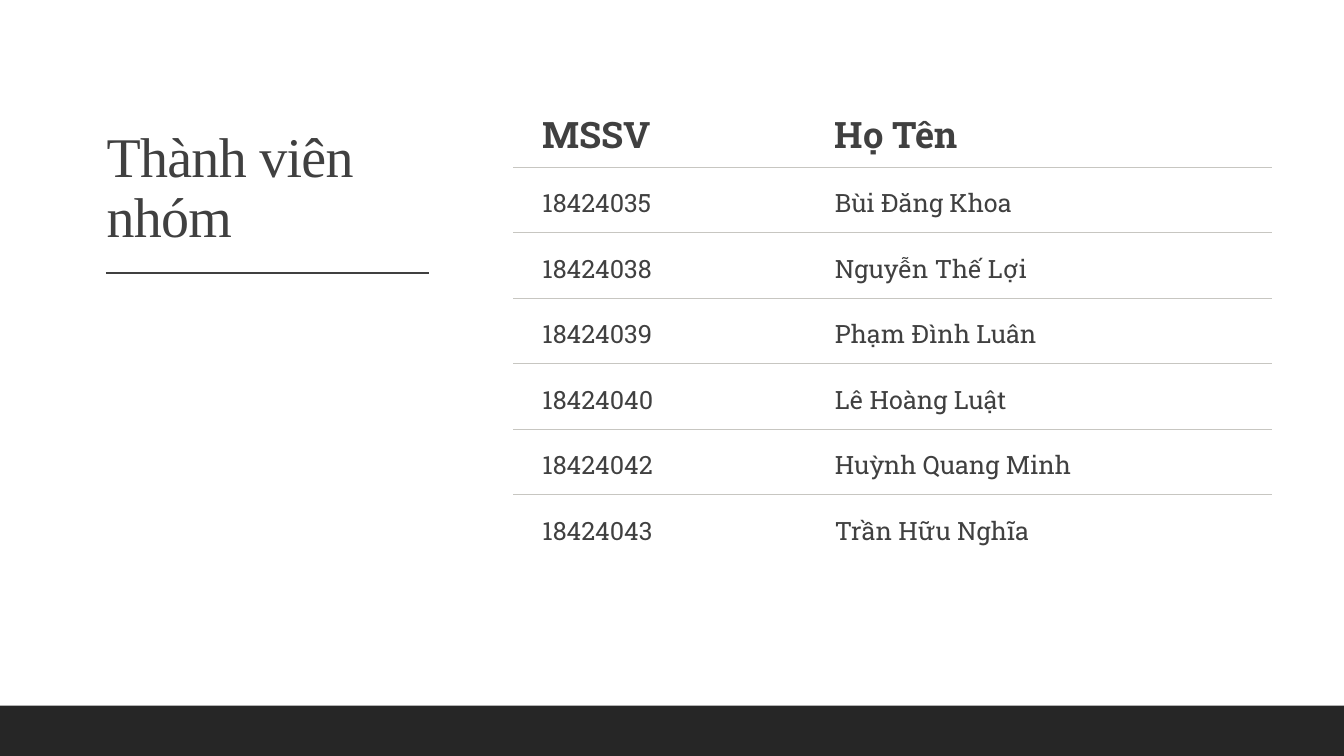
import pptx
import pptx.util
import pptx.dml.color
import pptx.enum.shapes
import pptx.enum.text
import pptx.oxml.ns
import lxml.etree

Inches = pptx.util.Inches
Pt = pptx.util.Pt
qn = pptx.oxml.ns.qn
COLORS = {"text": "404040", "rule": "C7C6C1", "footer": "262626", "page": "FFFFFF"}


def rgb(name):
    return pptx.dml.color.RGBColor.from_string(COLORS[name])


def write(frame, text, spacing, formats):
    para = frame.paragraphs[0]
    para.line_spacing = spacing
    span = para.add_run()
    span.text = text
    for name, value in formats.items():
        setattr(span.font, name, value)
    span.font.color.rgb = rgb("text")
    return span


deck = pptx.Presentation()
deck.slide_width, deck.slide_height = Inches(13.33), Inches(7.5)
page = deck.slides.add_slide(deck.slide_layouts[6])

# Background and footer band
page.background.fill.solid()
page.background.fill.fore_color.rgb = rgb("page")
footer = page.shapes.add_shape(
    pptx.enum.shapes.MSO_SHAPE.RECTANGLE, 0, Inches(7), Inches(13.33), Inches(0.5))
footer.shadow.inherit = False
footer.fill.solid()
footer.fill.fore_color.rgb = rgb("footer")
footer.line.fill.background()

# Title with its underline
title = page.shapes.add_textbox(Inches(0.96), Inches(0.7), Inches(3.48), Inches(1.83))
title.text_frame.word_wrap = True
title.text_frame.vertical_anchor = pptx.enum.text.MSO_ANCHOR.BOTTOM
span = write(title.text_frame, "Thành viên nhóm", 0.9,
             {"name": "Times New Roman", "size": Pt(40)})
span.font._element.set("spc", "-50")

underline = page.shapes.add_connector(
    pptx.enum.shapes.MSO_CONNECTOR.STRAIGHT,
    Inches(1.05), Inches(2.71), Inches(4.25), Inches(2.71))
underline.line.color.rgb = rgb("text")
underline.line.width = Pt(1)
lxml.etree.SubElement(underline._element.spPr, qn("a:effectLst"))

# Member table
members = [
    ("MSSV", "Họ Tên"),
    ("18424035", "Bùi Đăng Khoa"),
    ("18424038", "Nguyễn Thế Lợi"),
    ("18424039", "Phạm Đình Luân"),
    ("18424040", "Lê Hoàng Luật"),
    ("18424042", "Huỳnh Quang Minh"),
    ("18424043", "Trần Hữu Nghĩa"),
]
table = page.shapes.add_table(
    len(members), 2, Inches(5.09), Inches(0.88), Inches(7.53), Inches(4.68)).table
table.horz_banding = False
table.first_row = False
table.columns[0].width, table.columns[1].width = Inches(2.9), Inches(4.63)
margins = {"margin_left": 0.29, "margin_top": 0.14, "margin_right": 0.22, "margin_bottom": 0.14}
last = len(members) - 1

for row, member in enumerate(members):
    header = row == 0
    table.rows[row].height = Inches(0.78 if header else 0.65)
    for column, text in enumerate(member):
        cell = table.cell(row, column)
        for name, value in margins.items():
            setattr(cell, name, Inches(value))
        write(cell.text_frame, text, 1.15,
              {"name": "Roboto Slab", "size": Pt(26 if header else 18), "bold": header})

        # Rules only between rows
        ruled = {"lnL": False, "lnR": False, "lnT": row > 0, "lnB": row < last}
        for side, shown in ruled.items():
            border = lxml.etree.SubElement(
                cell._tc.get_or_add_tcPr(), qn("a:" + side), w=str(Pt(0.75)))
            if shown:
                paint = lxml.etree.SubElement(border, qn("a:solidFill"))
                lxml.etree.SubElement(paint, qn("a:srgbClr"), val=COLORS["rule"])
            else:
                lxml.etree.SubElement(border, qn("a:noFill"))
        cell.fill.background()

deck.save("out.pptx")
